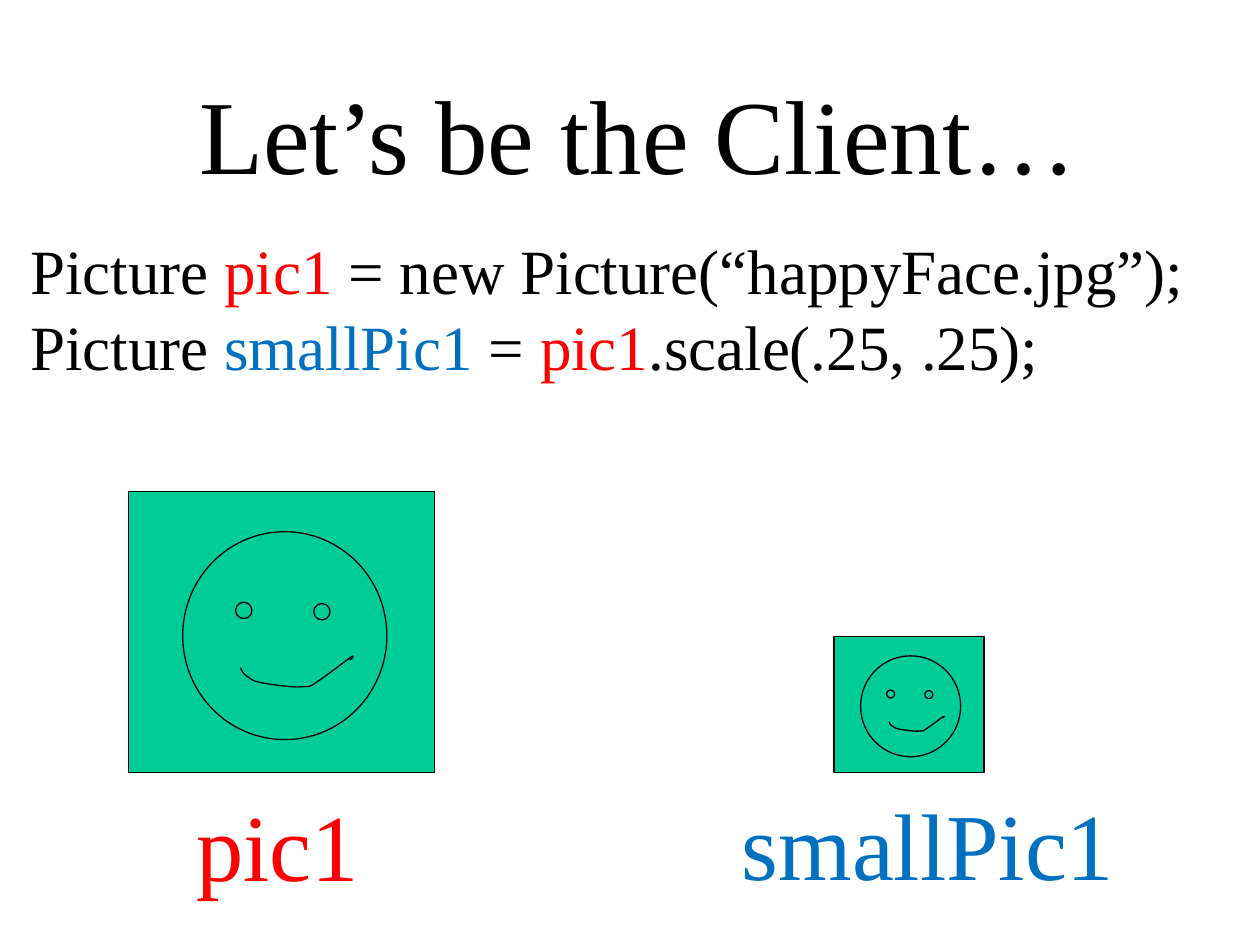
from dataclasses import dataclass

from pptx import Presentation
from pptx.dml.color import RGBColor
from pptx.enum.shapes import MSO_SHAPE as Kind
from pptx.enum.text import MSO_ANCHOR as Anchor, MSO_AUTO_SIZE as Fit, PP_ALIGN as Align
from pptx.util import Inches, Pt

FONT = "Times New Roman"
BLACK, RED, BLUE, GREEN = "000000", "FF0000", "0070C0", "00CC99"


@dataclass
class Box:
    left: float
    top: float
    width: float
    height: float


@dataclass
class Run:
    text: str
    color: str = BLACK


@dataclass
class Face:
    left: float
    top: float
    wide: float = 1
    tall: float = 1


@dataclass
class Label:
    box: Box
    run: Run


# Parts of a full-size face, measured from its top left corner
PARTS = [
    (Kind.RECTANGLE, Box(0, 0, 2.43, 2.23)),
    (Kind.OVAL, Box(0.43, 0.32, 1.62, 1.65)),
    (Kind.OVAL, Box(0.85, 0.88, 0.13, 0.13)),
    (Kind.OVAL, Box(1.47, 0.89, 0.13, 0.13)),
]
# Bezier knots: the start, then two handles and an end for each curve
MOUTH = [
    (0.89, 1.4),
    (0.9, 1.43), (0.92, 1.46), (0.96, 1.48),
    (0.99, 1.51), (1.05, 1.52), (1.12, 1.53),
    (1.19, 1.54), (1.32, 1.56), (1.39, 1.55),
    (1.45, 1.55), (1.44, 1.55), (1.5, 1.51),
    (1.56, 1.47), (1.72, 1.35), (1.76, 1.32),
    (1.8, 1.29), (1.78, 1.32), (1.76, 1.34),
]
STEPS = 8

FACES = [Face(1.02, 3.9), Face(6.62, 5.05, 0.49, 0.485)]
LABELS = [
    Label(Box(1.46, 6.2, 1.49, 1), Run("pic1", RED)),
    Label(Box(5.79, 6.19, 3.16, 1), Run("smallPic1", BLUE)),
]
CODE = [
    [Run("Picture "), Run("pic1", RED), Run(" = new Picture(“happyFace.jpg”);")],
    [Run("Picture "), Run("smallPic1 ", BLUE), Run("= "), Run("pic1", RED),
     Run(".scale(.25, .25);")],
]


def rgb(code: str) -> RGBColor:
    return RGBColor.from_string(code)


def place(shape, box: Box) -> None:
    shape.left, shape.top = Inches(box.left), Inches(box.top)
    shape.width, shape.height = Inches(box.width), Inches(box.height)


def write(shape, lines: list[list[Run]], size: float, align=Align.LEFT) -> None:
    frame = shape.text_frame
    frame.word_wrap = False
    frame.auto_size = Fit.NONE
    frame.vertical_anchor = Anchor.TOP
    for i, line in enumerate(lines):
        para = frame.paragraphs[0] if i == 0 else frame.add_paragraph()
        para.alignment = align
        para.space_before = Pt(0)
        for part in line:
            run = para.add_run()
            run.text = part.text
            run.font.name, run.font.size = FONT, Pt(size)
            run.font.color.rgb = rgb(part.color)


def drop_bullets(shape) -> None:
    for para in shape.text_frame.paragraphs:
        props = para._p.get_or_add_pPr()
        props.set("marL", "0")
        props.set("indent", "0")
        props.insert_element_before(
            props.makeelement(
                "{http://schemas.openxmlformats.org/drawingml/2006/main}buNone", {}),
            "a:tabLst", "a:defRPr", "a:extLst")


def ink(shape) -> None:
    shape.shadow.inherit = False
    shape.line.color.rgb = rgb(BLACK)
    shape.line.width = Pt(0.75)


def trace(knots: list[tuple]) -> list[tuple]:
    """Turn the Bezier knots into points along the curve."""
    points = [knots[0]]
    for i in range(0, len(knots) - 1, 3):
        for step in range(1, STEPS + 1):
            t = step / STEPS
            u = 1 - t
            mix = (u ** 3, 3 * u * u * t, 3 * u * t * t, t ** 3)
            points.append(tuple(
                sum(m * knot[axis] for m, knot in zip(mix, knots[i:i + 4]))
                for axis in (0, 1)))
    return points


def draw_face(slide, face: Face) -> None:
    group = slide.shapes.add_group_shape().shapes
    for kind, box in PARTS:
        part = group.add_shape(kind, 0, 0, 0, 0)
        place(part, Box(face.left + box.left * face.wide,
                        face.top + box.top * face.tall,
                        box.width * face.wide, box.height * face.tall))
        part.fill.solid()
        part.fill.fore_color.rgb = rgb(GREEN)
        ink(part)
    points = [(Inches(face.left + x * face.wide), Inches(face.top + y * face.tall))
              for x, y in trace(MOUTH)]
    pen = group.build_freeform(*points[0])
    pen.add_line_segments(points[1:], close=False)
    mouth = pen.convert_to_shape()
    mouth.fill.background()
    ink(mouth)


def main() -> None:
    deck = Presentation()
    deck.slide_width, deck.slide_height = Inches(10), Inches(7.5)
    slide = deck.slides.add_slide(deck.slide_layouts[1])
    title, body = slide.placeholders

    place(title, Box(1.46, 0.5, 7.21, 1.1))
    write(title, [[Run("Let’s be the Client…")]], 60, Align.CENTER)
    place(body, Box(0.14, 1.79, 9.4, 1.3))
    write(body, CODE, 36)
    drop_bullets(body)

    for face in FACES:
        draw_face(slide, face)
    for label in LABELS:
        text = slide.shapes.add_textbox(0, 0, 0, 0)
        place(text, label.box)
        write(text, [[label.run]], 54)
    deck.save("out.pptx")


if __name__ == "__main__":
    main()
